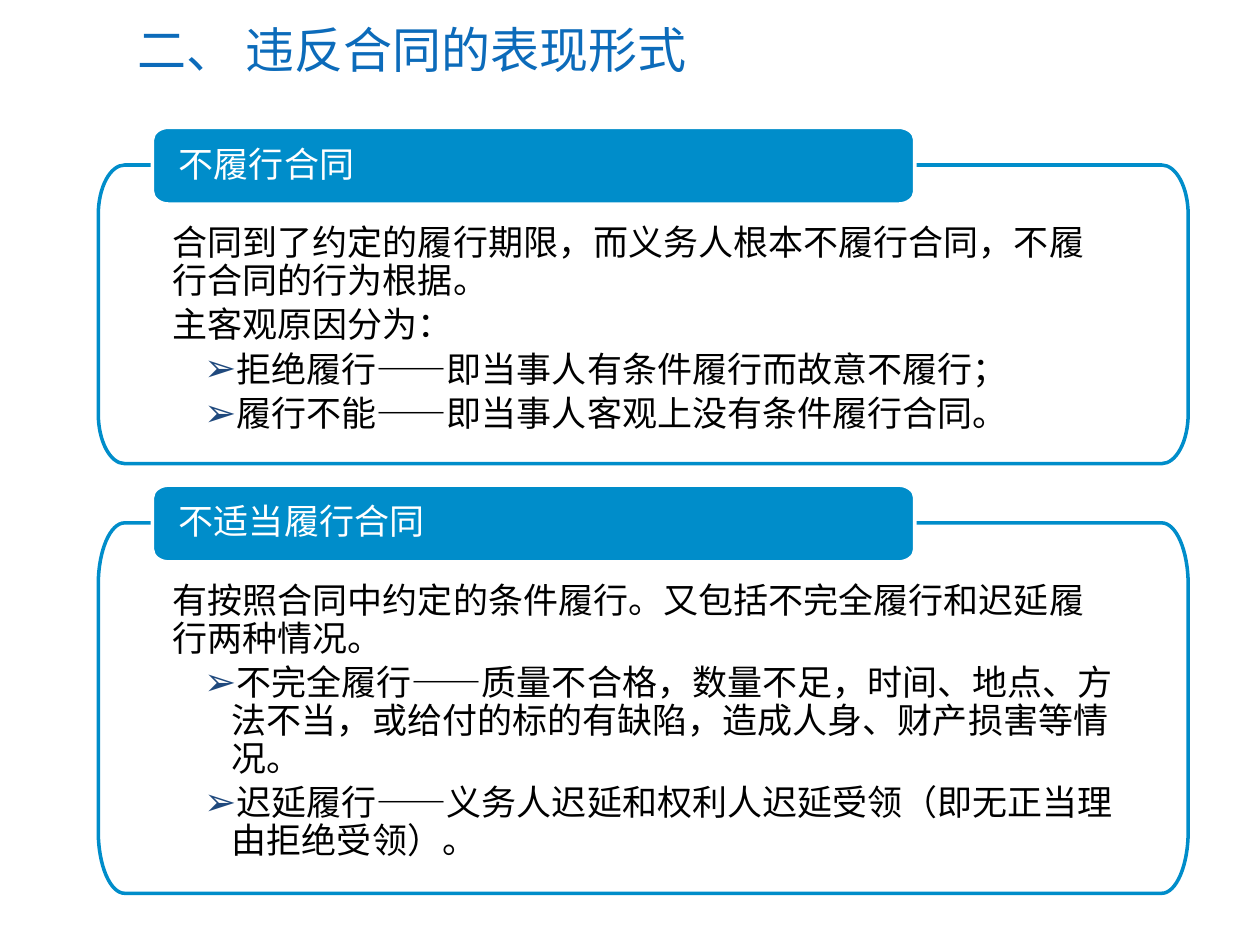
"""Build a slide on the two forms of breach of contract."""
import pptx
import pptx.dml.color
import pptx.enum.text
import pptx.oxml
import pptx.oxml.ns
import pptx.util
from lxml import etree

Inches = pptx.util.Inches
Pt = pptx.util.Pt
qn = pptx.oxml.ns.qn
ANCHOR = pptx.enum.text.MSO_ANCHOR
FONT = "Calibri"
COLORS = {"title": "0C6BBA", "blue": "008DCA", "white": "FFFFFF",
          "text": "000000", "bullet": "1F497D"}
BULLET = "➢"
ARC = 0.55
BOX_LEFT, BOX_WIDTH = 0.78, 8.65
TAB_LEFT, TAB_WIDTH, TAB_HEIGHT = 1.21, 6.05, 0.61
TAB_RISE = 0.3

SECTIONS = [
    (1.31, 2.37, "不履行合同", [
        ("合同到了约定的履行期限，而义务人根本不履行合同，不履行合同的行为根据。", False),
        ("主客观原因分为：", False),
        ("拒绝履行——即当事人有条件履行而故意不履行；", True),
        ("履行不能——即当事人客观上没有条件履行合同。", True),
    ]),
    (4.15, 2.94, "不适当履行合同", [
        ("有按照合同中约定的条件履行。又包括不完全履行和迟延履行两种情况。", False),
        ("不完全履行——质量不合格，数量不足，时间、地点、方法不当，"
         "或给付的标的有缺陷，造成人身、财产损害等情况。", True),
        ("迟延履行——义务人迟延和权利人迟延受领（即无正当理由拒绝受领）。", True),
    ]),
]


def rgb(name):
    """Return the named colour."""
    return pptx.dml.color.RGBColor.from_string(COLORS[name])


def corner_points(x, y, w, h, rx, ry):
    """Return start, two controls and end of each corner curve, clockwise."""
    corners = [((x, y), (0, ry), (rx, 0)),
               ((x + w, y), (-rx, 0), (0, ry)),
               ((x + w, y + h), (0, -ry), (-rx, 0)),
               ((x, y + h), (rx, 0), (0, -ry))]
    points = []
    for (cx, cy), (ax, ay), (bx, by) in corners:
        k = 1 - ARC
        points += [(cx + ax, cy + ay), (cx + ax * k, cy + ay * k),
                   (cx + bx * k, cy + by * k), (cx + bx, cy + by)]
    return [(Inches(px), Inches(py)) for px, py in points]


def curve_corners(sp):
    """Turn the three segments of each corner into one Bézier curve."""
    lines = list(sp._element.iter(qn("a:lnTo")))
    for first in range(0, len(lines) - 2, 4):
        curve = etree.Element(qn("a:cubicBezTo"))
        lines[first].addprevious(curve)
        for line in lines[first:first + 3]:
            curve.append(line[0])
            line.getparent().remove(line)


def add_panel(s, box, radii, fill, line):
    """Add a filled panel with elliptical corners."""
    points = corner_points(*box, *radii)
    builder = s.shapes.build_freeform(*points[0])
    builder.add_line_segments(points[1:], close=True)
    sp = builder.convert_to_shape()
    curve_corners(sp)
    sp.shadow.inherit = False
    sp.fill.solid()
    sp.fill.fore_color.rgb = rgb(fill)
    sp.line.color.rgb = rgb(line)
    sp.line.width = Pt(2)
    return sp


def set_frame(tf, anchor, left, top, right, bottom):
    """Set wrapping, anchor and margins of a text frame."""
    tf.word_wrap = True
    tf.vertical_anchor = anchor
    tf.margin_left, tf.margin_top = Inches(left), Inches(top)
    tf.margin_right, tf.margin_bottom = Inches(right), Inches(bottom)


def write_paragraph(p, text, size, color, after=0, spacing=1.0):
    """Write one left-aligned paragraph."""
    p.text = text
    p.alignment = pptx.enum.text.PP_ALIGN.LEFT
    p.line_spacing = spacing
    p.space_after = Pt(after)
    for r in p.runs:
        r.font.size = Pt(size)
        r.font.name = FONT
        r.font.color.rgb = rgb(color)


def set_indent(p, left, first):
    """Set the left margin and first-line indent of a paragraph."""
    pPr = p._p.get_or_add_pPr()
    pPr.set("marL", str(Inches(left)))
    pPr.set("indent", str(Inches(first)))


def add_bullet(p):
    """Give a paragraph a coloured arrow bullet."""
    pPr = p._p.get_or_add_pPr()
    color = etree.SubElement(pPr, qn("a:buClr"))
    etree.SubElement(color, qn("a:srgbClr"), val=COLORS["bullet"])
    etree.SubElement(pPr, qn("a:buSzPct"), val="110000")
    etree.SubElement(pPr, qn("a:buFont"), typeface=FONT)
    etree.SubElement(pPr, qn("a:buChar"), char=BULLET)


def set_opacity(sp, percent):
    """Set the opacity of a solid fill."""
    color = sp._element.spPr.find(qn("a:solidFill")).find(qn("a:srgbClr"))
    etree.SubElement(color, qn("a:alpha"), val=str(percent * 1000))


def add_title(s, text):
    """Add the slide title."""
    sp = s.shapes.add_textbox(Inches(0.99), Inches(0.1), Inches(8.72), Inches(0.58))
    set_frame(sp.text_frame, ANCHOR.MIDDLE, 0.1, 0.05, 0.1, 0.05)
    write_paragraph(sp.text_frame.paragraphs[0], text, 28, "title")


def add_section(s, top, height, heading, items):
    """Add an outlined body panel with its heading tab."""
    body = add_panel(s, (BOX_LEFT, top, BOX_WIDTH, height),
                     (0.21, height / 6), "white", "blue")
    set_opacity(body, 90)
    tf = body.text_frame
    set_frame(tf, ANCHOR.TOP, 0.59, 0.48, 0.59, 0.2)
    for i, (text, bulleted) in enumerate(items):
        p = tf.add_paragraph() if i else tf.paragraphs[0]
        write_paragraph(p, text, 20, "text", 3.7, 0.9)
        p.level = 1
        if bulleted:
            set_indent(p, 0.47, -0.22)
            add_bullet(p)
        else:
            set_indent(p, 0, 0)

    tab = add_panel(s, (TAB_LEFT, top - TAB_RISE, TAB_WIDTH, TAB_HEIGHT),
                    (0.13, 0.1), "blue", "white")
    set_frame(tab.text_frame, ANCHOR.MIDDLE, 0.21, 0.03, 0.21, 0.03)
    write_paragraph(tab.text_frame.paragraphs[0], heading, 20, "white", 8.8, 0.9)


def main():
    """Build and save the slide."""
    prs = pptx.Presentation()
    prs.slide_width, prs.slide_height = Inches(10), Inches(7.5)
    s = prs.slides.add_slide(prs.slide_layouts[6])
    add_title(s, "二、 违反合同的表现形式")
    for section in SECTIONS:
        add_section(s, *section)
    prs.save("out.pptx")


if __name__ == "__main__":
    main()
